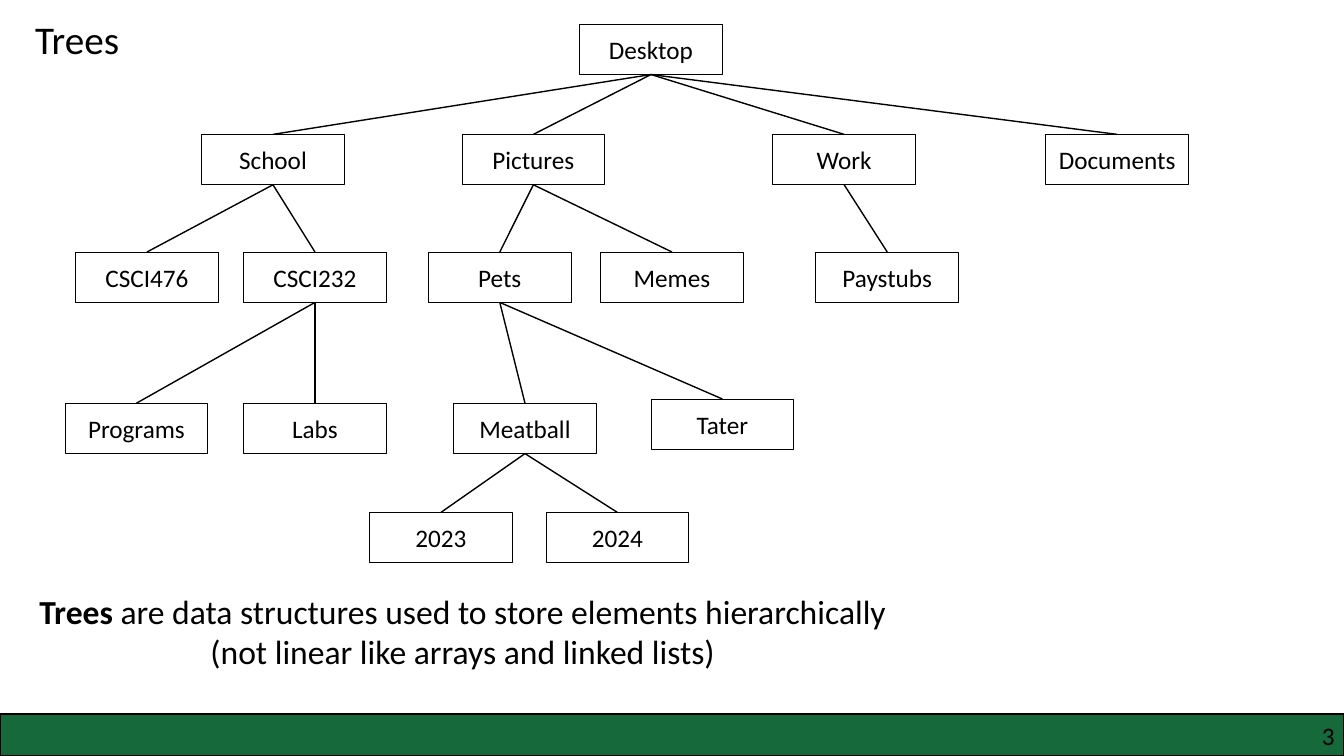
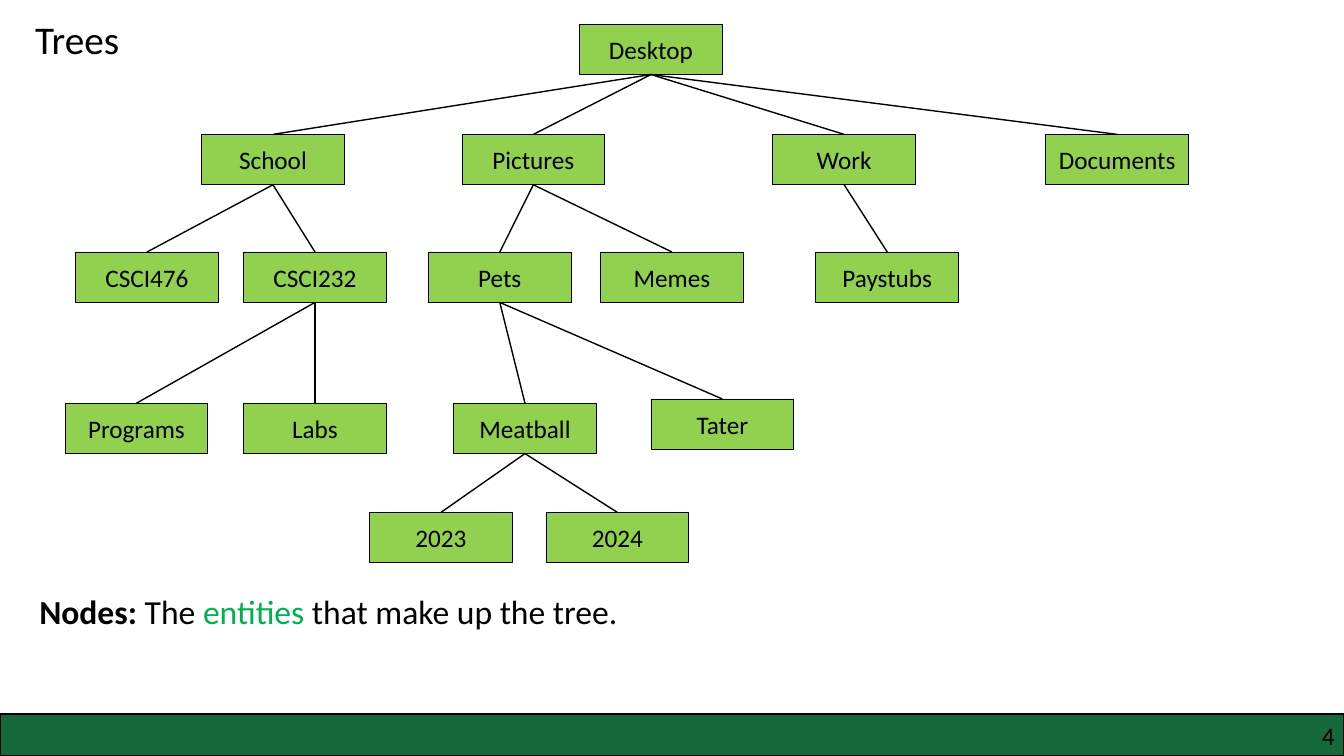
import pptx
import pptx.dml.color
import pptx.enum.shapes
import pptx.enum.text
import pptx.util
import pptx.oxml.ns
import lxml.etree

PX = 9525  # EMU in one px
SLIDE_WIDTH, SLIDE_HEIGHT = 1280, 720
BAND_HEIGHT = 40
NODE_WIDTH, NODE_HEIGHT = 136, 48

FONT = "Calibri"
BLACK, WHITE = "000000", "FFFFFF"
BAND_GREEN, NODE_GREEN, WORD_GREEN = "15693B", "92D050", "00B050"
ALIGN = pptx.enum.text.PP_ALIGN

# name: (parent, left, top)
TREE = {
    "Desktop": (None, 552, 23),
    "School": ("Desktop", 192, 128),
    "Pictures": ("Desktop", 440, 128),
    "Work": ("Desktop", 736, 128),
    "Documents": ("Desktop", 996, 128),
    "CSCI476": ("School", 72, 240),
    "CSCI232": ("School", 232, 240),
    "Pets": ("Pictures", 408, 240),
    "Memes": ("Pictures", 572, 240),
    "Paystubs": ("Work", 777, 240),
    "Programs": ("CSCI232", 62, 384),
    "Labs": ("CSCI232", 232, 384),
    "Meatball": ("Pets", 432, 384),
    "Tater": ("Pets", 620, 380),
    "2023": ("Meatball", 352, 488),
    "2024": ("Meatball", 520, 488),
}


def px(*lengths):
    return [pptx.util.Emu(length * PX) for length in lengths]


def color(value):
    return pptx.dml.color.RGBColor.from_string(value)


def add_span(para, text, size, bold=False, text_color=BLACK):
    span = para.add_run()
    span.text = text
    span.font.name = FONT
    span.font.size = pptx.util.Pt(size)
    span.font.bold = bold
    span.font.color.rgb = color(text_color)


def add_text(page, place, size, paras, wrap=False):
    """Each paragraph is (alignment, [(text, bold, color), ...])."""
    box = page.shapes.add_textbox(*px(*place))
    frame = box.text_frame
    frame.word_wrap = wrap
    frame.auto_size = pptx.enum.text.MSO_AUTO_SIZE.SHAPE_TO_FIT_TEXT
    for index, (alignment, spans) in enumerate(paras):
        para = frame.add_paragraph() if index else frame.paragraphs[0]
        para.alignment = alignment
        for text, bold, text_color in spans:
            add_span(para, text, size, bold, text_color)
    return box


def add_rectangle(page, place, fill, line_width):
    box = page.shapes.add_shape(
        pptx.enum.shapes.MSO_SHAPE.RECTANGLE, *px(*place))
    box.shadow.inherit = False
    box.fill.solid()
    box.fill.fore_color.rgb = color(fill)
    box.line.color.rgb = color(BLACK)
    box.line.width = pptx.util.Pt(line_width)
    return box


def add_node(page, name, left, top, fill):
    node = add_rectangle(page, (left, top, NODE_WIDTH, NODE_HEIGHT), fill, 0.5)
    node.text_frame.vertical_anchor = pptx.enum.text.MSO_ANCHOR.MIDDLE
    para = node.text_frame.paragraphs[0]
    para.alignment = ALIGN.CENTER
    add_span(para, name, 18)
    return node


def add_edge(page, parent, child):
    edge = page.shapes.add_connector(
        pptx.enum.shapes.MSO_CONNECTOR.STRAIGHT, 0, 0, 0, 0)
    edge.begin_connect(parent, 2)  # bottom middle
    edge.end_connect(child, 0)  # top middle
    edge.line.color.rgb = color(BLACK)
    edge.line.width = pptx.util.Pt(1)
    lxml.etree.SubElement(
        edge._element.spPr, pptx.oxml.ns.qn("a:effectLst"))


def add_tree(page, fill):
    nodes = {name: add_node(page, name, left, top, fill)
             for name, (_, left, top) in TREE.items()}
    for name, (parent, _, _) in TREE.items():
        if parent:
            add_edge(page, nodes[parent], nodes[name])


def add_footer(page, number):
    add_rectangle(page, (0, SLIDE_HEIGHT - BAND_HEIGHT,
                         SLIDE_WIDTH, BAND_HEIGHT), BAND_GREEN, 1)
    box = add_text(page, (976, 686, 295, 29), 18,
                   [(ALIGN.RIGHT, [(str(number), False, BLACK)])], wrap=True)
    frame = box.text_frame
    frame.margin_left = frame.margin_right = 0
    frame.margin_top = frame.margin_bottom = 0


def add_page(deck, number, node_fill, caption_size, caption):
    page = deck.slides.add_slide(deck.slide_layouts[6])
    add_footer(page, number)
    add_tree(page, node_fill)
    add_text(page, (24, 10, 116, 55), 28,
             [(ALIGN.LEFT, [("Trees", False, BLACK)])])
    add_text(page, (28, 558, *caption_size), 24, caption)


def main():
    deck = pptx.Presentation()
    deck.slide_width, deck.slide_height = px(SLIDE_WIDTH, SLIDE_HEIGHT)

    # What a tree is
    add_page(deck, 3, WHITE, (924, 87), [
        (ALIGN.LEFT, [
            ("Trees", True, BLACK),
            (" are data structures used to store elements hierarchically",
             False, BLACK)]),
        (ALIGN.CENTER, [
            ("(not linear like arrays and linked lists)", False, BLACK)]),
    ])

    # Nodes highlighted
    add_page(deck, 4, NODE_GREEN, (628, 48), [
        (ALIGN.LEFT, [
            ("Nodes: ", True, BLACK),
            ("The ", False, BLACK),
            ("entities", False, WORD_GREEN),
            (" that make up the tree.", False, BLACK)]),
    ])

    deck.save("out.pptx")


if __name__ == "__main__":
    main()
